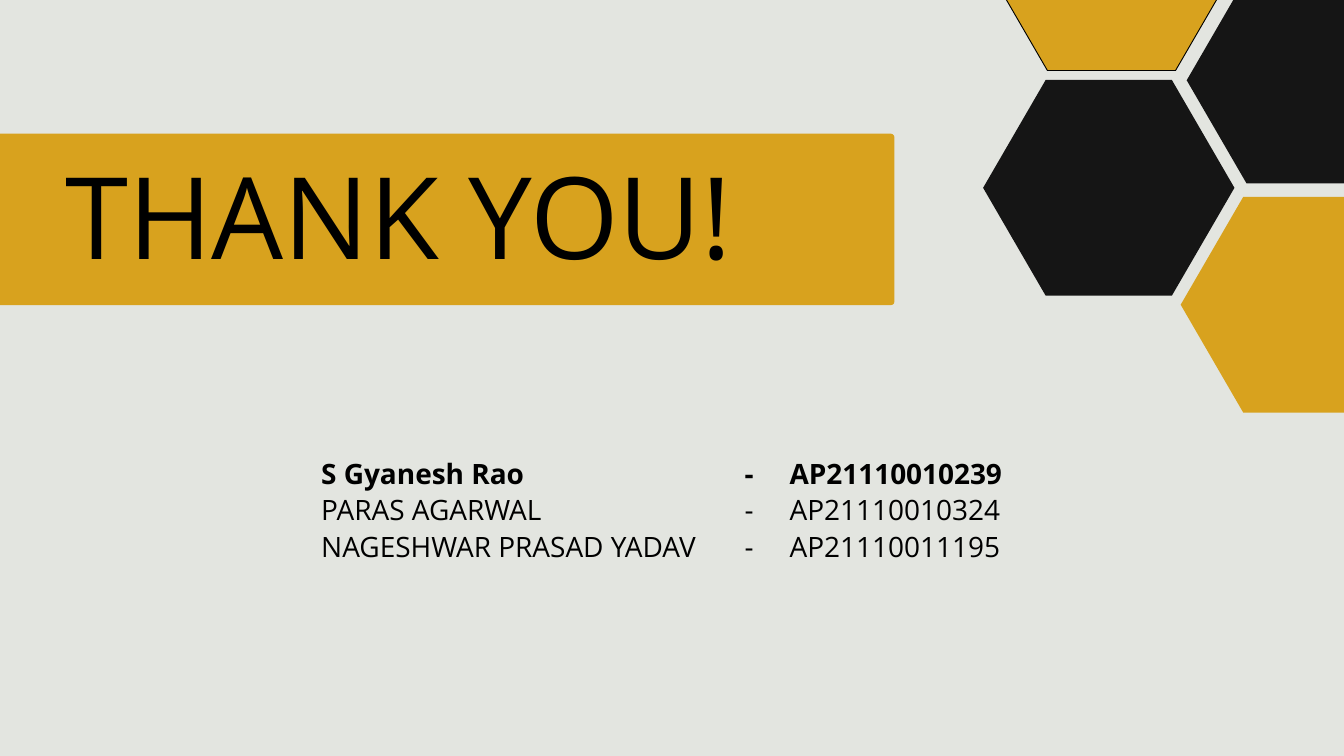
from pptx import Presentation
from pptx.dml.color import RGBColor
from pptx.enum.shapes import MSO_SHAPE
from pptx.enum.text import MSO_ANCHOR, MSO_AUTO_SIZE, PP_ALIGN
from pptx.oxml.ns import qn
from pptx.util import Inches, Pt
from lxml.etree import SubElement

COLORS = {"paper": "E3E5E0", "gold": "D8A21E", "coal": "151515", "ink": "000000"}
FONT = "Open Sans"

deck = Presentation()
deck.slide_width, deck.slide_height = Inches(20), Inches(11.25)
column, row = deck.slide_width / 20, deck.slide_height / 11.25
slide = deck.slides.add_slide(deck.slide_layouts[5])
slide.background.fill.solid()
slide.background.fill.fore_color.rgb = RGBColor.from_string(COLORS["paper"])


def grid_box(left, top, width, height):
    return int(left * column), int(top * row), int(width * column), int(height * row)


def write_line(holder, text, size, spacing, bold=False, tab=None):
    frame = holder.text_frame
    frame.margin_left = frame.margin_top = frame.margin_right = frame.margin_bottom = 0
    frame.word_wrap = True
    frame.auto_size = MSO_AUTO_SIZE.NONE
    frame.vertical_anchor = MSO_ANCHOR.TOP
    paragraph = frame.paragraphs[0]
    paragraph.alignment = PP_ALIGN.LEFT
    paragraph.line_spacing = Pt(spacing)
    if tab:
        stops = SubElement(paragraph._p.get_or_add_pPr(), qn("a:tabLst"))
        SubElement(stops, qn("a:tab"), pos=str(int(tab * column)), algn="l")
    run = paragraph.add_run()
    run.text = text
    run.font.name = FONT
    run.font.size = Pt(size)
    run.font.bold = bold
    run.font.color.rgb = RGBColor.from_string(COLORS["ink"])


ornaments = [
    (MSO_SHAPE.ROUNDED_RECTANGLE, 0.02, (-4.19, 1.99, 17.5, 2.55), "gold", False),
    (MSO_SHAPE.HEXAGON, 0.29, (14.63, -2.25, 3.82, 3.3), "gold", True),
    (MSO_SHAPE.HEXAGON, 0.29, (17.66, -0.34, 3.57, 3.07), "coal", False),
    (MSO_SHAPE.HEXAGON, 0.29, (14.63, 1.19, 3.74, 3.21), "coal", False),
    (MSO_SHAPE.HEXAGON, 0.29, (17.57, 2.93, 3.74, 3.21), "gold", False),
]
thanks = slide.shapes.title
for outline, adjustment, place, color, edged in ornaments:
    ornament = slide.shapes.add_shape(outline, *grid_box(*place))
    ornament.adjustments[0] = adjustment
    ornament.shadow.inherit = False
    ornament.fill.solid()
    ornament.fill.fore_color.rgb = RGBColor.from_string(COLORS[color])
    if edged:
        ornament.line.color.rgb = RGBColor.from_string(COLORS["ink"])
        ornament.line.width = Pt(1)
    else:
        ornament.line.fill.background()
    thanks.element.addprevious(ornament.element)

thanks.left, thanks.top, thanks.width, thanks.height = grid_box(0.97, 2.53, 13.1, 1.75)
write_line(thanks, "THANK YOU!", 121.9, 120.7)

members = [
    ("S Gyanesh Rao", "AP21110010239"),
    ("PARAS AGARWAL", "AP21110010324"),
    ("NAGESHWAR PRASAD YADAV", "AP21110011195"),
]
for index, (member, roll_number) in enumerate(members):
    top = 6.71 + 0.54 * index
    lead = index == 0
    name_box = slide.shapes.add_textbox(*grid_box(4.78, top, 6.3, 0.42))
    write_line(name_box, member, 30, 42, lead)
    number_box = slide.shapes.add_textbox(*grid_box(11.08, top, 4.07, 0.42))
    write_line(number_box, "-\t" + roll_number, 30, 42, lead, tab=0.67)

deck.save("out.pptx")
